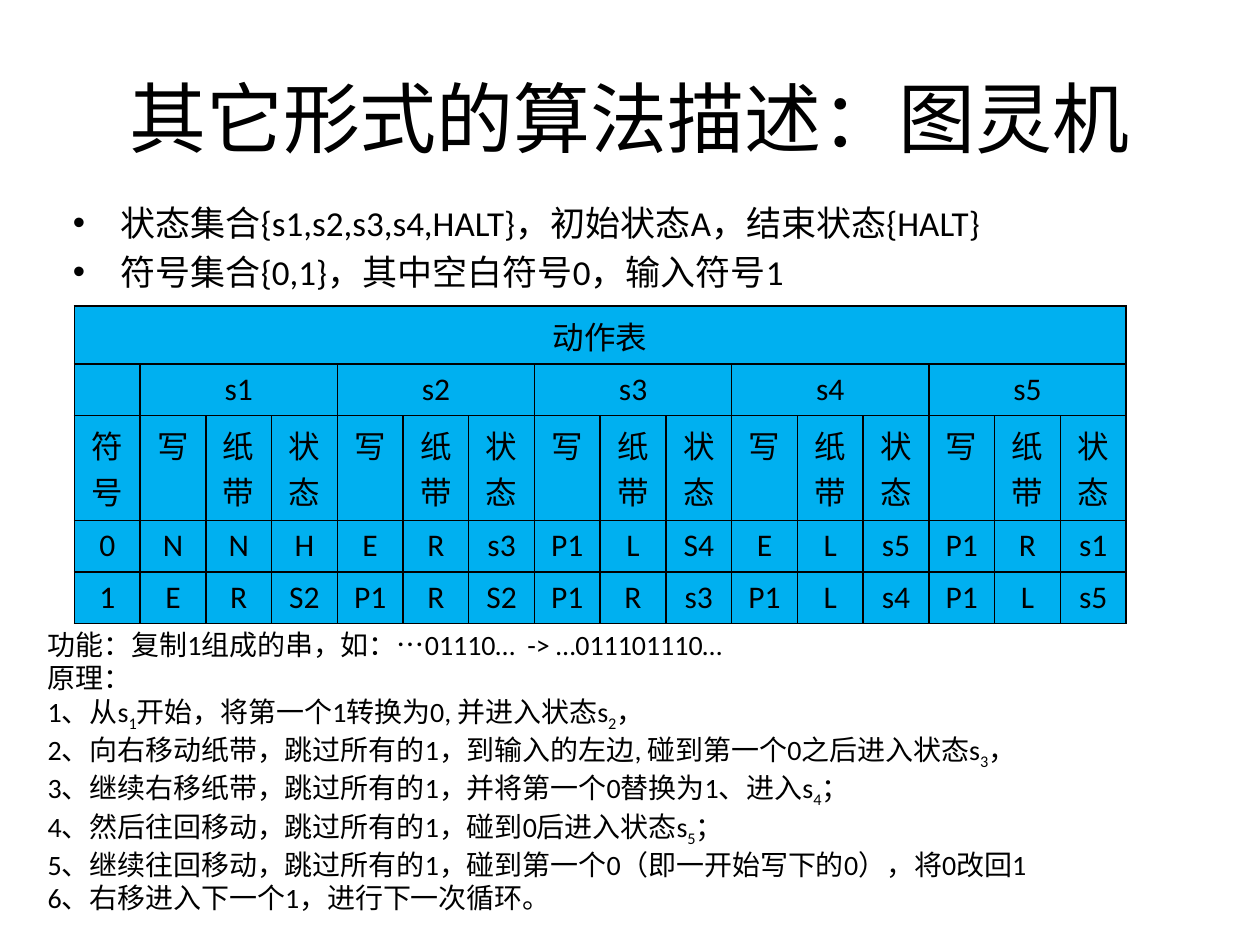
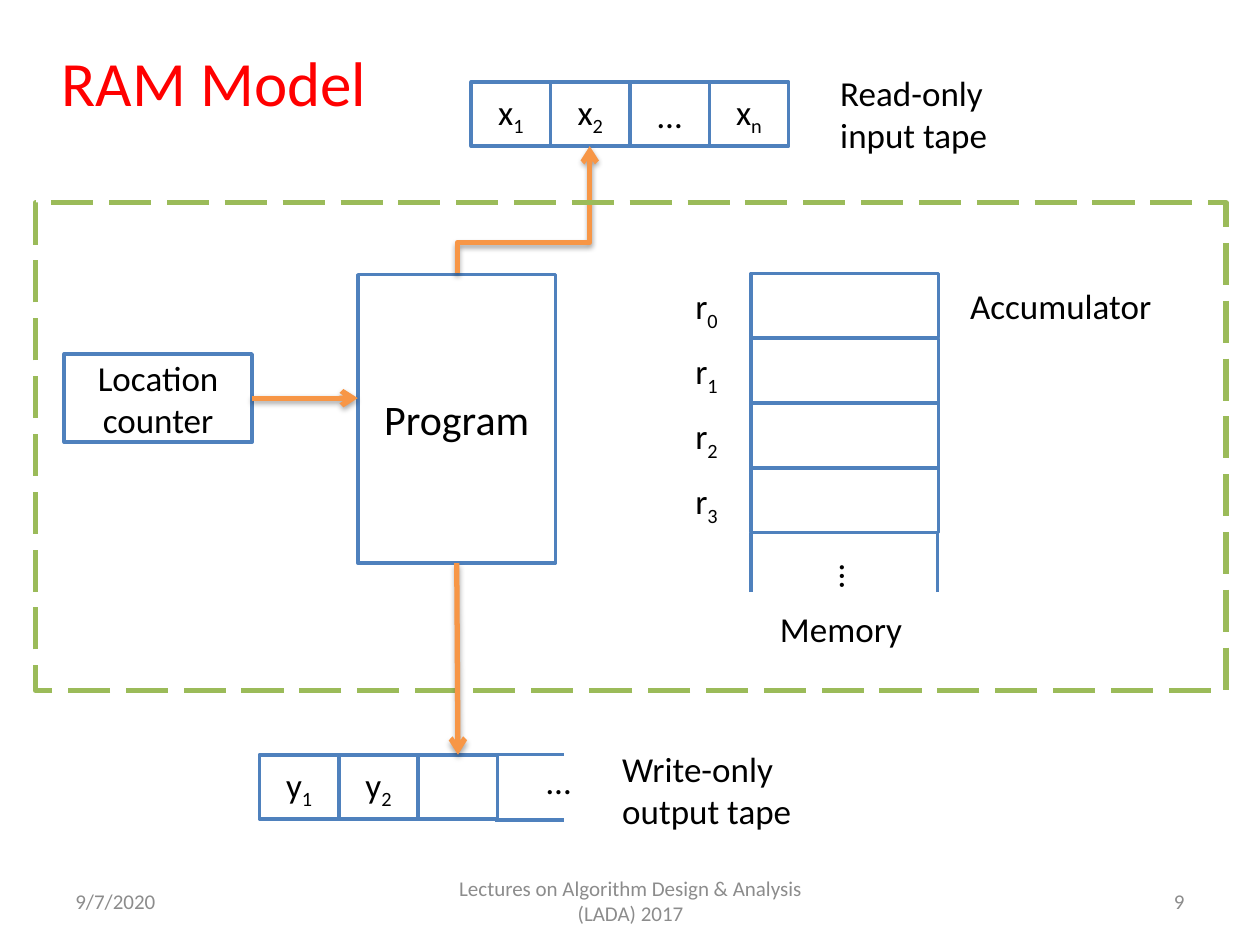
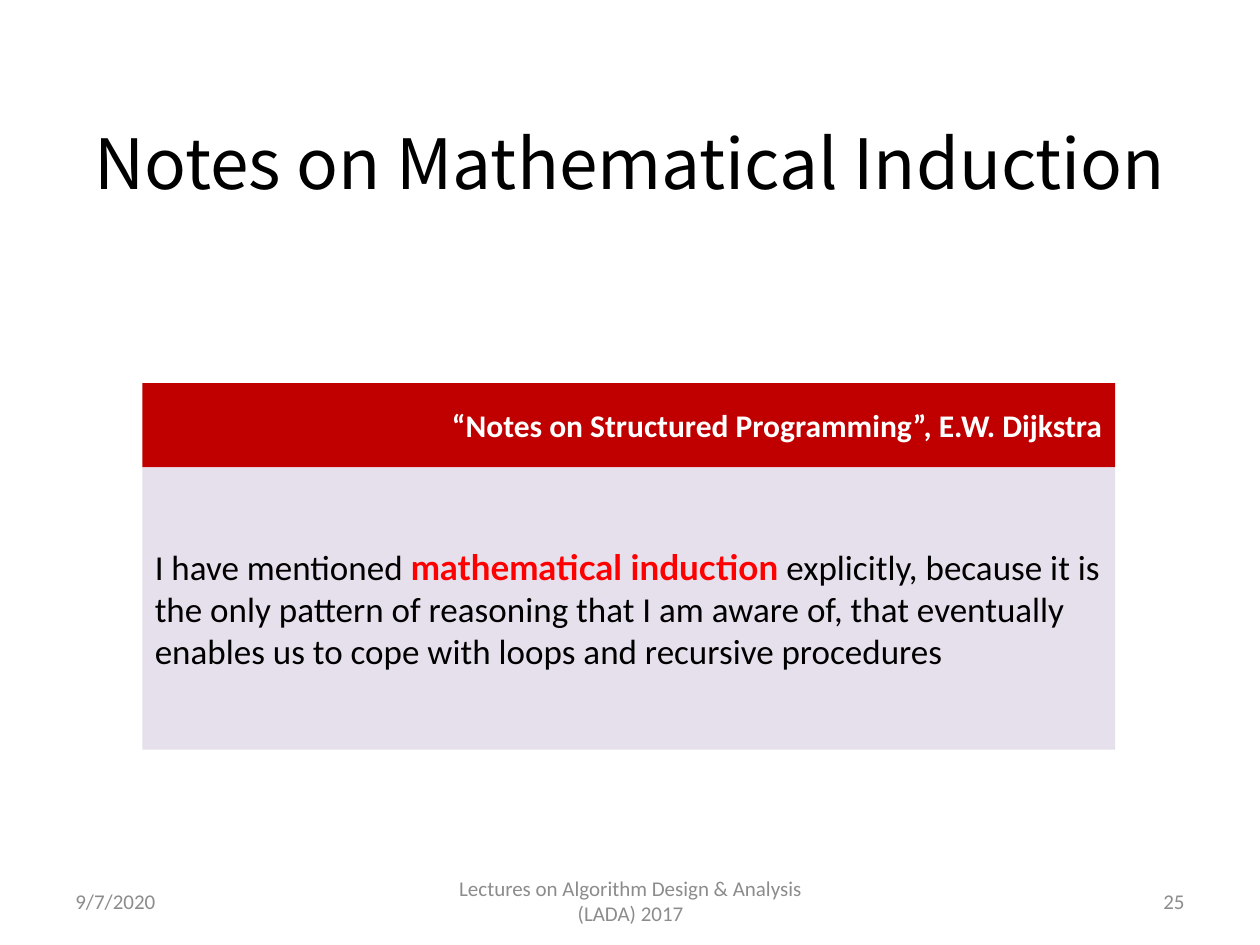
from dataclasses import dataclass

from lxml import etree
from pptx import Presentation
from pptx.dml.color import RGBColor
from pptx.enum.dml import MSO_LINE
from pptx.enum.shapes import MSO_CONNECTOR, MSO_SHAPE
from pptx.enum.text import MSO_ANCHOR, MSO_AUTO_SIZE, PP_ALIGN
from pptx.oxml.ns import qn
from pptx.util import Inches, Pt

LEFT, MID, RIGHT = PP_ALIGN.LEFT, PP_ALIGN.CENTER, PP_ALIGN.RIGHT
TOP, CENTRE = MSO_ANCHOR.TOP, MSO_ANCHOR.MIDDLE
RECT = MSO_SHAPE.RECTANGLE
STRAIGHT, ELBOW = MSO_CONNECTOR.STRAIGHT, MSO_CONNECTOR.ELBOW
DASH = MSO_LINE.LONG_DASH
FIXED = MSO_AUTO_SIZE.NONE
TITLE_ONLY = 5


@dataclass(frozen=True)
class Theme:
    font: str = "Calibri"
    cjk: str = "Noto Sans CJK JP"
    accent: str = "Lato"
    black: str = "000000"
    white: str = "FFFFFF"
    grey: str = "8C8C8C"
    red: str = "FF0000"
    blue: str = "4F81BD"
    green: str = "9BBB59"
    orange: str = "F79646"
    cyan: str = "00B0F0"
    crimson: str = "C00000"
    lilac: str = "E6E0EC"
    head: float = 44
    quote: float = 39.6
    model: float = 36
    large: float = 24
    body: float = 20
    cell: float = 18
    note: float = 16
    foot: float = 12
    edge: float = 2
    thick: float = 3


T = Theme()


def rgb(code):
    return RGBColor.from_string(code)


def style(run, size, color, font=T.font, bold=False):
    run.font.size, run.font.name, run.font.bold = Pt(size), font, bold
    run.font.color.rgb = rgb(color)
    east = etree.SubElement(run._r.get_or_add_rPr(), qn("a:ea"))
    east.set("typeface", T.cjk)


def lower(run):
    run._r.get_or_add_rPr().set("baseline", "-25000")


def stress(run):
    run.font.name, run.font.bold = T.accent, True
    run.font.color.rgb = rgb(T.red)


def write(frame, lines, size=T.body, color=T.black, align=LEFT, font=T.font,
          bold=False, mark=lower):
    for row, line in enumerate(lines):
        par = frame.add_paragraph() if row else frame.paragraphs[0]
        par.alignment = align
        for turn, piece in enumerate(line.split("|")):
            if piece:
                run = par.add_run()
                run.text = piece
                style(run, size, color, font, bold)
                if turn % 2:
                    mark(run)


def place(shape, area):
    shape.left, shape.top, shape.width, shape.height = map(Inches, area)


def title(slide, text, area, size=T.head, color=T.black, font=T.font):
    head = slide.shapes.title
    place(head, area)
    frame = head.text_frame
    frame.auto_size, frame.vertical_anchor = FIXED, CENTRE
    write(frame, [text], size, color, MID, font)


def label(slide, lines, area, size=T.body, color=T.black, align=LEFT,
          anchor=TOP, wrap=True):
    box = slide.shapes.add_textbox(*map(Inches, area))
    frame = box.text_frame
    frame.word_wrap, frame.vertical_anchor = wrap, anchor
    write(frame, lines, size, color, align)
    return box


def block(slide, area, text="", fill=T.white, line=T.blue, width=T.edge, **look):
    shape = slide.shapes.add_shape(RECT, *map(Inches, area))
    shape.shadow.inherit = False
    if fill:
        shape.fill.solid()
        shape.fill.fore_color.rgb = rgb(fill)
    else:
        shape.fill.background()
    if line:
        shape.line.color.rgb = rgb(line)
        shape.line.width = Pt(width)
    else:
        shape.line.fill.background()
    shape.text_frame.vertical_anchor = CENTRE
    if text:
        write(shape.text_frame, [text], **{"align": MID, **look})
    return shape


def link(slide, start, end, color=T.blue, width=T.edge, kind=STRAIGHT):
    line = slide.shapes.add_connector(kind, *map(Inches, start + end))
    line.line.color.rgb = rgb(color)
    line.line.width = Pt(width)
    etree.SubElement(line._element.spPr, qn("a:effectLst"))
    return line


def arrow(slide, start, end, kind=STRAIGHT):
    line = link(slide, start, end, T.orange, T.thick, kind)
    etree.SubElement(line.line._get_or_add_ln(), qn("a:tailEnd"), type="arrow")
    glow = line._element.spPr.find(qn("a:effectLst"))
    shade = etree.SubElement(glow, qn("a:outerShdw"), blurRad="40000",
                             dist="23000", dir="5400000", rotWithShape="0")
    tint = etree.SubElement(shade, qn("a:srgbClr"), val=T.black)
    etree.SubElement(tint, qn("a:alpha"), val="35000")
    return line


def turn_up(line, bend):
    props = line._element.spPr
    props.find(qn("a:xfrm")).set("rot", "5400000")
    shape = props.find(qn("a:prstGeom"))
    guides = shape.find(qn("a:avLst"))
    if guides is None:
        guides = etree.SubElement(shape, qn("a:avLst"))
    etree.SubElement(guides, qn("a:gd"), name="adj1", fmla=f"val {bend}")


def bullet(par):
    par.space_before = Pt(4)
    props = par._p.get_or_add_pPr()
    props.set("marL", str(Inches(0.38)))
    props.set("indent", str(-Inches(0.38)))
    etree.SubElement(props, qn("a:buFont"), typeface="Arial")
    etree.SubElement(props, qn("a:buChar"), char="•")


def border(cell):
    props = cell._tc.get_or_add_tcPr()
    for side in ("lnL", "lnR", "lnT", "lnB"):
        line = etree.SubElement(props, qn(f"a:{side}"), w=str(Pt(1)))
        fill = etree.SubElement(line, qn("a:solidFill"))
        etree.SubElement(fill, qn("a:srgbClr"), val=T.black)


def grid(slide, rows, spans, left, top, width, heights):
    wide = len(rows[0])
    area = (left, top, width, sum(heights))
    table = slide.shapes.add_table(len(rows), wide, *map(Inches, area)).table
    table.first_row = table.horz_banding = False
    for col in table.columns:
        col.width = Inches(width / wide)
    for row, (tall, texts) in enumerate(zip(heights, rows)):
        table.rows[row].height = Inches(tall)
        for col, text in enumerate(texts):
            cell = table.cell(row, col)
            border(cell)
            cell.fill.solid()
            cell.fill.fore_color.rgb = rgb(T.cyan)
            write(cell.text_frame, [text], T.cell, align=MID)
    for row, col, count in spans:
        table.cell(row, col).merge(table.cell(row, col + count - 1))


def footer(slide, number):
    parts = (
        ("9/7/2020", 0.5, 2.33, LEFT),
        ("Lectures on Algorithm Design & Analysis (LADA) 2017", 3.42, 3.17, MID),
        (number, 7.17, 2.33, RIGHT),
    )
    for text, left, width, align in parts:
        label(slide, [text], (left, 6.95, width, 0.4), T.foot, T.grey, align, CENTRE)


def tape(slide, left, top, marks):
    return [block(slide, (left + 0.63 * spot, top, 0.63, 0.51), mark)
            for spot, mark in enumerate(marks)]


def turing(slide):
    title(slide, "其它形式的算法描述：图灵机", (0.5, 0.3, 9, 1.25), font=T.cjk)
    facts = label(slide, [
        "状态集合{s1,s2,s3,s4,HALT}，初始状态A，结束状态{HALT}",
        "符号集合{0,1}，其中空白符号0，输入符号1",
    ], (0.48, 1.55, 9, 0.86))
    for par in facts.text_frame.paragraphs:
        bullet(par)
    states = [text for num in range(1, 6) for text in (f"s{num}", "", "")]
    rows = [
        ["动作表"] + [""] * 15,
        [""] + states,
        ["符号"] + ["写", "纸带", "状态"] * 5,
        "0 N N H E R s3 P1 L S4 E L s5 P1 R s1".split(),
        "1 E R S2 P1 R S2 P1 R s3 P1 L s4 P1 L s5".split(),
    ]
    spans = [(0, 0, 16)] + [(1, col, 3) for col in range(1, 16, 3)]
    grid(slide, rows, spans, 0.59, 2.43, 8.35, [0.46, 0.41, 0.83, 0.41, 0.41])
    label(slide, [
        "功能：复制1组成的串，如：…01110…  -> …011101110…",
        "原理：",
        "1、从s|1|开始，将第一个1转换为0, 并进入状态s|2|，",
        "2、向右移动纸带，跳过所有的1，到输入的左边, 碰到第一个0之后进入状态s|3|，",
        "3、继续右移纸带，跳过所有的1，并将第一个0替换为1、进入s|4|；",
        "4、然后往回移动，跳过所有的1，碰到0后进入状态s|5|；",
        "5、继续往回移动，跳过所有的1，碰到第一个0（即一开始写下的0），将0改回1",
        "6、右移进入下一个1，进行下一次循环。",
    ], (0.28, 4.93, 8.98, 2.29), T.note)


def machine(slide):
    title(slide, "RAM Model", (0, 0.29, 3.4, 0.71), T.model, T.red)
    footer(slide, "9")
    tape(slide, 3.74, 0.65, ["x|1|", "x|2|", "…", "x|n|"])
    label(slide, ["Read-only input tape"], (6.57, 0.52, 1.42, 0.77))
    output = tape(slide, 2.06, 5.99, ["y|1|", "y|2|", ""])
    for level in (5.99, 6.51):
        link(slide, (3.93, level), (4.48, level))
    label(slide, ["…"], (4.24, 5.98, 0.39, 0.44), wrap=False)
    program = block(slide, (2.84, 2.18, 1.57, 2.29), "Program", size=T.large)
    turn_up(arrow(slide, (4.66, 2.19), (3.65, 1.14), ELBOW), 24300)
    for num in range(4):
        top = 2.17 + 0.515 * num
        block(slide, (5.96, top, 1.49, 0.51))
        label(slide, [f"r|{num}|"], (5.42, top + 0.04, 0.43, 0.44))
    for side in (5.96, 7.44):
        link(slide, (side, 4.7), (side, 4.23))
    dots = label(slide, ["…"], (6.58, 4.36, 0.39, 0.44), wrap=False)
    dots.rotation = 90
    label(slide, ["Accumulator"], (7.6, 2.21, 1.81, 0.44))
    frame = block(slide, (0.28, 1.61, 9.45, 3.87), fill=None, line=T.green,
                  width=T.thick)
    frame.line.dash_style = DASH
    label(slide, ["Memory"], (5.77, 4.77, 1.81, 0.44), align=MID)
    counter = block(slide, (0.51, 2.81, 1.49, 0.7), "Location counter")
    arrow(slide, (2, 3.16), (2.84, 3.16)).begin_connect(counter, 3)
    down = arrow(slide, (3.63, 4.47), (3.63, 5.99))
    down.begin_connect(program, 2)
    down.end_connect(output[2], 0)
    label(slide, ["Write-only output tape"], (4.84, 5.88, 1.64, 0.77))


def proof(slide):
    title(slide, "Notes on Mathematical Induction", (0.5, 0.71, 9, 1.15),
          T.quote, font=T.cjk)
    block(slide, (1.13, 3.04, 7.72, 0.67),
          "“Notes on Structured Programming”, E.W. Dijkstra", T.crimson, None,
          size=T.cell, color=T.white, align=RIGHT, bold=True)
    block(slide, (1.13, 3.71, 7.72, 2.24),
          "I have mentioned |mathematical induction| explicitly, because it is "
          "the only pattern of reasoning that I am aware of, that eventually "
          "enables us to cope with loops and recursive procedures",
          T.lilac, None, align=LEFT, mark=stress)
    footer(slide, "25")


def main():
    deck = Presentation()
    deck.slide_width, deck.slide_height = Inches(10), Inches(7.5)
    for build in (turing, machine, proof):
        build(deck.slides.add_slide(deck.slide_layouts[TITLE_ONLY]))
    deck.save("out.pptx")


if __name__ == "__main__":
    main()
